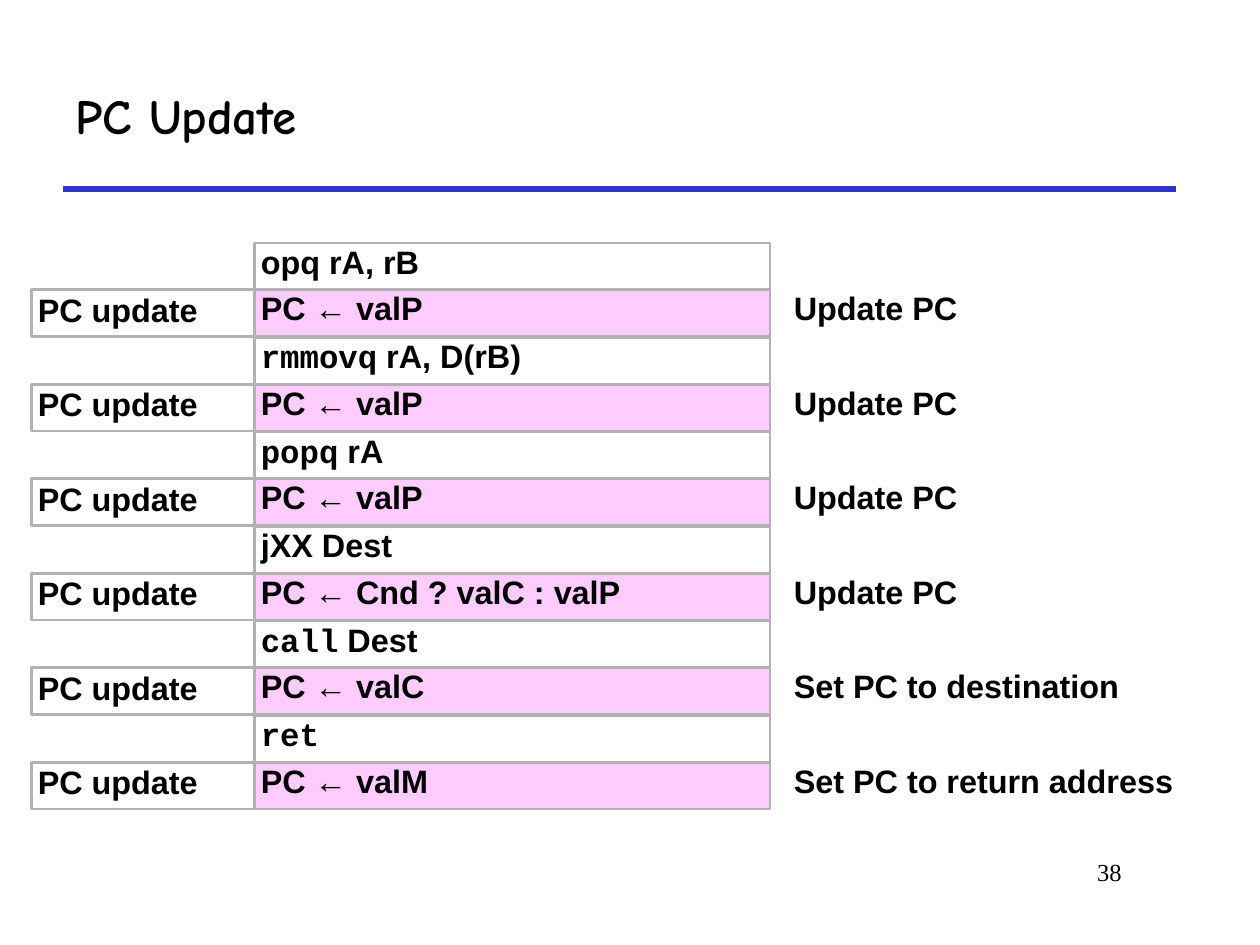
from lxml.etree import SubElement
from pptx import Presentation
from pptx.dml.color import RGBColor
from pptx.enum.shapes import MSO_CONNECTOR, MSO_SHAPE
from pptx.enum.text import MSO_ANCHOR as Anchor, PP_ALIGN as Align
from pptx.oxml.ns import qn
from pptx.util import Inches, Pt

TITLE = "PC Update"
PAGE_NUMBER = "38"
STAGE = "PC update"
# instruction in code font, instruction in text font, action, comment, comment width
INSTRUCTIONS = [
    ("", "opq rA, rB", "PC ← valP", "Update PC", 3.08),
    ("rmmovq", " rA, D(rB)", "PC ← valP", "Update PC", 2.58),
    ("popq", " rA", "PC ← valP", "Update PC", 2.75),
    ("", "jXX Dest", "PC ← Cnd ? valC : valP", "Update PC", 3.08),
    ("call", " Dest", "PC ← valC", "Set PC to destination", 3.33),
    ("ret", "", "PC ← valM", "Set PC to return address", 3.58),
]

TEXT_FONT, CODE_FONT = "Arial", "Courier New"
BLACK, BLUE, GRAY, PINK = "000000", "3333CC", "B2B2B2", "FFCCFF"
STAGE_LEFT, STAGE_WIDTH = 0.25, 1.77
ACTION_LEFT, ACTION_WIDTH = 2.02, 4.09
COMMENT_LEFT = 6.25
TABLE_TOP, PAIR_STEP, ROW_HEIGHT = 1.93, 0.75, 0.37


def color(hex_code):
    return RGBColor.from_string(hex_code)


def write(shape, runs, size, bold=True, anchor=Anchor.TOP, align=Align.LEFT,
          inset=0.05, line_spacing=0.8):
    """Fill the shape with one paragraph of (text, font) runs."""
    frame = shape.text_frame
    frame.word_wrap = True
    frame.vertical_anchor = anchor
    frame.margin_left = frame.margin_right = Inches(inset)
    frame.margin_top = frame.margin_bottom = Inches(0.05)
    paragraph = frame.paragraphs[0]
    paragraph.alignment = align
    paragraph.line_spacing = line_spacing
    for text, font_name in runs:
        run = paragraph.add_run()
        run.text = text
        run.font.name = font_name
        run.font.size = Pt(size)
        run.font.bold = bold
        run.font.color.rgb = color(BLACK)


def add_text(slide, left, top, width, height, runs, size, **style):
    box = slide.shapes.add_textbox(*map(Inches, (left, top, width, height)))
    write(box, runs, size, **style)


def add_cell(slide, left, top, width, runs, fill=None, anchor=Anchor.TOP):
    cell = slide.shapes.add_shape(
        MSO_SHAPE.RECTANGLE, *map(Inches, (left, top, width, ROW_HEIGHT)))
    cell.shadow.inherit = False
    if fill:
        cell.fill.solid()
        cell.fill.fore_color.rgb = color(fill)
    else:
        cell.fill.background()
    cell.line.color.rgb = color(GRAY)
    cell.line.width = Pt(1.5)
    write(cell, runs, 18.5, anchor=anchor)


def add_title_rule(slide):
    rule = slide.shapes.add_connector(
        MSO_CONNECTOR.STRAIGHT, *map(Inches, (0.5, 1.5, 9.33, 1.5)))
    rule.line.color.rgb = color(BLUE)
    rule.line.width = Pt(3)
    SubElement(rule._element.spPr, qn("a:effectLst"))


def main():
    presentation = Presentation()
    presentation.slide_width, presentation.slide_height = Inches(10), Inches(7.5)
    slide = presentation.slides.add_slide(presentation.slide_layouts[6])

    add_title_rule(slide)
    add_text(slide, 7.58, 6.75, 1.42, 0.5, [(PAGE_NUMBER, "Times New Roman")], 14,
             bold=False, align=Align.RIGHT, inset=0.1, line_spacing=1)
    add_text(slide, 0.5, 0.5, 8.83, 0.83, [(TITLE, "Comic Neue")], 28,
             anchor=Anchor.MIDDLE, inset=0.1, line_spacing=1)

    for index, (code, operands, action, comment, comment_width) in enumerate(INSTRUCTIONS):
        top = TABLE_TOP + index * PAIR_STEP
        action_top = top + ROW_HEIGHT
        name_runs = [run for run in ((code, CODE_FONT), (operands, TEXT_FONT)) if run[0]]
        add_cell(slide, ACTION_LEFT, top, ACTION_WIDTH, name_runs)
        add_cell(slide, ACTION_LEFT, action_top, ACTION_WIDTH, [(action, TEXT_FONT)], PINK)
        add_cell(slide, STAGE_LEFT, action_top, STAGE_WIDTH, [(STAGE, TEXT_FONT)],
                 anchor=Anchor.MIDDLE)
        add_text(slide, COMMENT_LEFT, action_top, comment_width, ROW_HEIGHT,
                 [(comment, TEXT_FONT)], 18.5)

    presentation.save("out.pptx")


if __name__ == "__main__":
    main()
